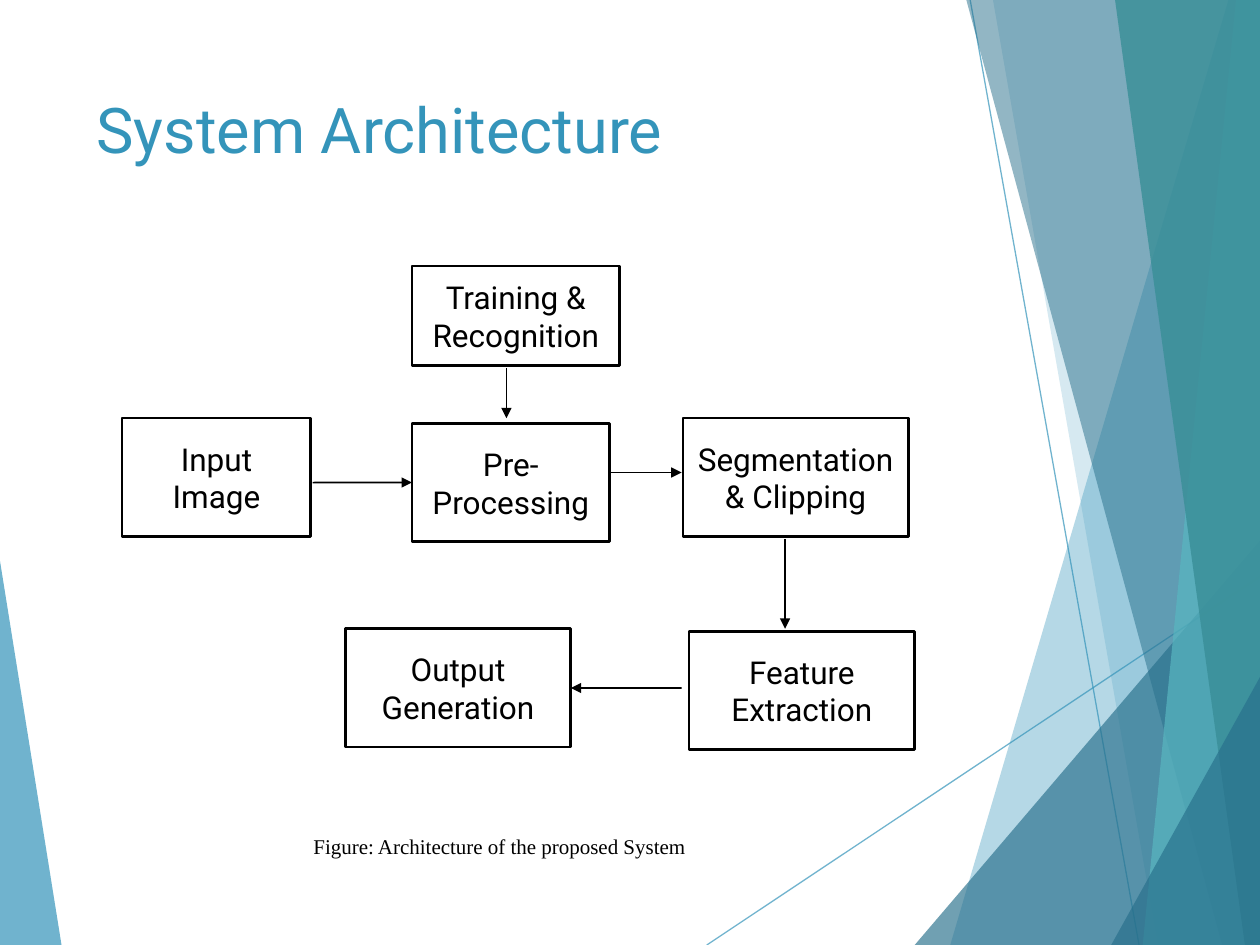
from pptx import Presentation
from pptx.dml.color import RGBColor
from pptx.enum.shapes import MSO_CONNECTOR, MSO_SHAPE
from pptx.enum.text import MSO_ANCHOR, MSO_AUTO_SIZE, PP_ALIGN
from pptx.oxml.ns import qn
from pptx.util import Pt
from lxml.etree import SubElement

COLORS = {
    "blue": "3494BA",
    "dark blue": "276F8B",
    "aqua": "58B6C0",
    "teal": "3A8F98",
    "black": "000000",
    "white": "FFFFFF",
}
BOX_HEIGHT = 67.7
RIGHT, BOTTOM = 721, 540

# Colour, opacity in percent, corners
FACETS_BEHIND = [("blue", 70, [(-0.7, 316), (35.3, 540.7), (-0.7, 540)])]
FACETS_FRONT = [
    ("blue", 36, [(702, 0), (543, BOTTOM), (RIGHT, BOTTOM), (RIGHT, 0)]),
    ("blue", 20, [(567.4, 0), (661.7, BOTTOM), (RIGHT, BOTTOM), (RIGHT, 0)]),
    ("dark blue", 66, [(522.7, BOTTOM), (720, 308.9), (RIGHT, BOTTOM)]),
    ("dark blue", 50, [(552.2, 0), (698.4, BOTTOM), (RIGHT, BOTTOM), (RIGHT, 0)]),
    ("aqua", 70, [(706.3, 0), (653, BOTTOM), (RIGHT, BOTTOM), (720, 0)]),
    ("teal", 82, [(637.2, 0), (711.4, BOTTOM), (RIGHT, BOTTOM), (720, 0)]),
    ("dark blue", 66, [(635, BOTTOM), (RIGHT, 385.2), (RIGHT, BOTTOM)]),
]
RAYS = [((403.9, 540), (720.7, 329)), ((554.4, 0), (650.9, 540))]

# Text, left, top, width, height
BOXES = [
    ("Input Image", 69.8, 239, 107.8, BOX_HEIGHT),
    ("Segmentation & Clipping", 390.2, 239, 128.9, BOX_HEIGHT),
    ("Feature Extraction", 393.8, 360.7, 128.9, BOX_HEIGHT),
    ("Output Generation", 197.3, 359.3, 128.9, BOX_HEIGHT),
    ("Training & Recognition", 235.4, 151.9, 118.8, 56.9),
]


def color(name):
    return RGBColor.from_string(COLORS[name])


def set_opacity(shape, percent):
    for element in shape._element.iter(qn("a:srgbClr")):
        SubElement(element, qn("a:alpha"), val=str(percent * 1000))


def place(shape, left, top, width, height):
    shape.left, shape.top = Pt(left), Pt(top)
    shape.width, shape.height = Pt(width), Pt(height)


def write_text(shape, text, size, font_name, color_name, alignment):
    frame = shape.text_frame
    frame.word_wrap = True
    frame.text = text
    paragraph = frame.paragraphs[0]
    paragraph.alignment = alignment
    font = paragraph.font
    font.size, font.name = Pt(size), font_name
    font.color.rgb = color(color_name)


def add_facet(slide, color_name, opacity, corners):
    points = [(Pt(x), Pt(y)) for x, y in corners]
    builder = slide.shapes.build_freeform(*points[0])
    builder.add_line_segments(points[1:], close=True)
    shape = builder.convert_to_shape()
    shape.shadow.inherit = False
    shape.fill.solid()
    shape.fill.fore_color.rgb = color(color_name)
    shape.line.fill.background()
    set_opacity(shape, opacity)


def add_line(slide, start, end, color_name, width):
    line = slide.shapes.add_connector(
        MSO_CONNECTOR.STRAIGHT, *(Pt(value) for value in start + end))
    line.line.color.rgb = color(color_name)
    line.line.width = Pt(width)
    SubElement(line._element.spPr, qn("a:effectLst"))
    return line


def add_arrow(slide, start, end):
    arrow = add_line(slide, start, end, "black", 1)
    SubElement(arrow.line._get_or_add_ln(), qn("a:tailEnd"), type="triangle")
    return arrow


def add_backdrop(slide):
    for facet in FACETS_BEHIND:
        add_facet(slide, *facet)
    for start, end in RAYS:
        set_opacity(add_line(slide, start, end, "blue", 0.75), 70)
    for facet in FACETS_FRONT:
        add_facet(slide, *facet)


def format_box(shape, text):
    shape.fill.solid()
    shape.fill.fore_color.rgb = color("white")
    shape.line.color.rgb = color("black")
    shape.line.width = Pt(1.5)
    shape.text_frame.auto_size = MSO_AUTO_SIZE.NONE
    shape.text_frame.vertical_anchor = MSO_ANCHOR.MIDDLE
    write_text(shape, text, 18, "Roboto", "black", PP_ALIGN.CENTER)


def add_box(slide, text, *bounds):
    shape = slide.shapes.add_shape(MSO_SHAPE.RECTANGLE, *map(Pt, bounds))
    shape.shadow.inherit = False
    format_box(shape, text)
    return shape


def fill_title(slide):
    title = slide.shapes.title
    place(title, 48, 48, 500, 104)
    title.text_frame.auto_size = MSO_AUTO_SIZE.NONE
    title.text_frame.vertical_anchor = MSO_ANCHOR.TOP
    write_text(title, "System Architecture", 36, "Roboto", "blue", PP_ALIGN.LEFT)


def fill_body(slide):
    """Turn the body placeholder into the central box, without a bullet."""
    body = slide.placeholders[1]
    place(body, 235.4, 241.9, 113, BOX_HEIGHT)
    format_box(body, "Pre- Processing")
    paragraph = body.text_frame.paragraphs[0]
    paragraph.space_before = Pt(10)
    properties = paragraph._p.get_or_add_pPr()
    properties.set("marL", "0")
    properties.set("indent", "0")
    bullet = SubElement(properties, qn("a:buNone"))
    properties.find(qn("a:defRPr")).addprevious(bullet)
    return body


def add_caption(slide):
    caption = slide.shapes.add_textbox(Pt(172), Pt(473), Pt(345.6), Pt(21.8))
    caption.text_frame.auto_size = MSO_AUTO_SIZE.SHAPE_TO_FIT_TEXT
    write_text(caption, "Figure: Architecture of the proposed System",
               12, "Times New Roman", "black", PP_ALIGN.JUSTIFY)


def main():
    presentation = Presentation()
    presentation.slide_width, presentation.slide_height = Pt(720), Pt(540)
    slide = presentation.slides.add_slide(presentation.slide_layouts[1])

    add_backdrop(slide)
    fill_title(slide)
    preprocessing = fill_body(slide)
    boxes = {box[0]: add_box(slide, *box) for box in BOXES}

    add_arrow(slide, (178.6, 275.8), (235.4, 275.8)).end_connect(preprocessing, 1)
    add_arrow(slide, (349.2, 270), (389.5, 270))
    add_arrow(slide, (448.6, 308.2), (448.6, 359.3))
    add_arrow(slide, (389.5, 393.1), (326.2, 393.1)).end_connect(
        boxes["Output Generation"], 3)
    add_arrow(slide, (289.4, 210.2), (289.4, 239))

    add_caption(slide)
    presentation.save("out.pptx")


if __name__ == "__main__":
    main()
